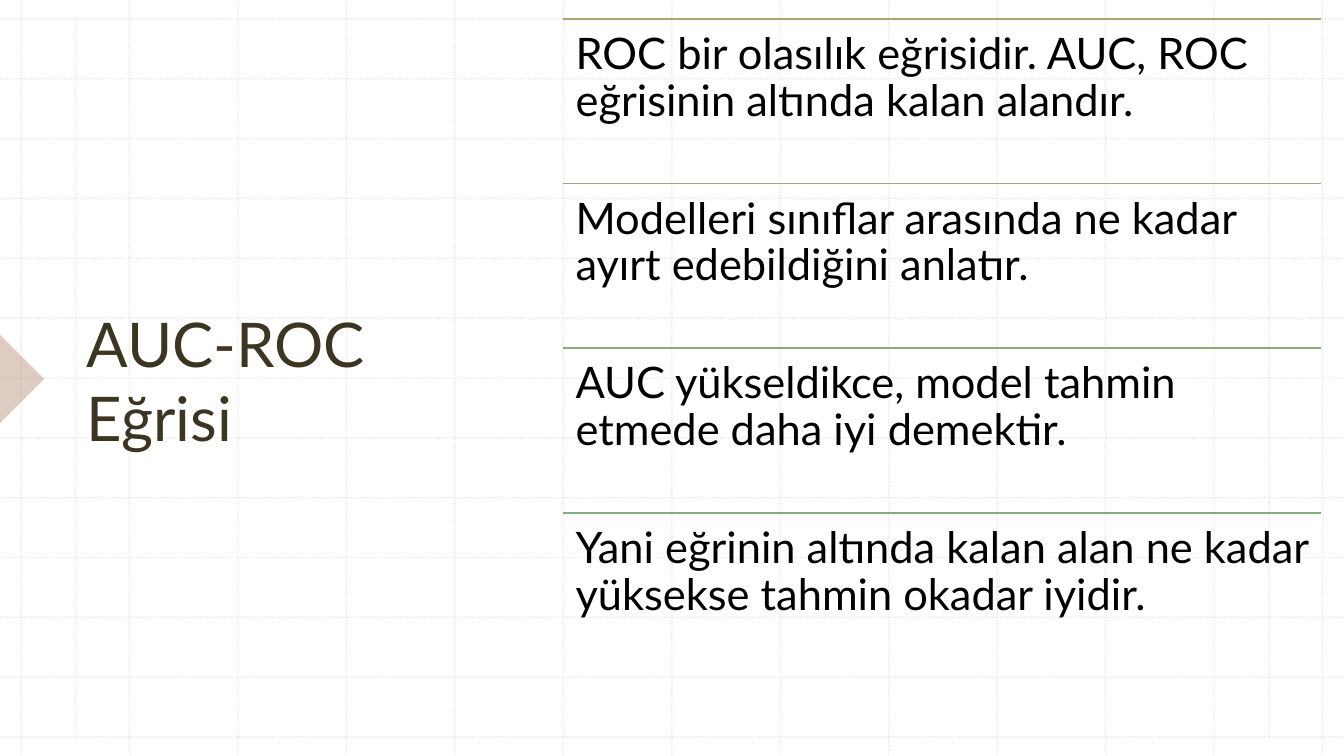
from dataclasses import dataclass

from lxml import etree
from pptx import Presentation
from pptx.dml.color import RGBColor
from pptx.dml.fill import FillFormat
from pptx.enum.dml import MSO_LINE
from pptx.enum.shapes import MSO_CONNECTOR, MSO_SHAPE
from pptx.enum.text import MSO_ANCHOR
from pptx.oxml.ns import qn
from pptx.slide import Slide
from pptx.util import Pt

STRAIGHT = MSO_CONNECTOR.STRAIGHT
RIGHT_TRIANGLE = MSO_SHAPE.RIGHT_TRIANGLE
DOTTED = MSO_LINE.ROUND_DOT
TOP = MSO_ANCHOR.TOP
MIDDLE = MSO_ANCHOR.MIDDLE

SLIDE_WIDTH, SLIDE_HEIGHT = 960, 540
FONT = "Lato"
GRID_COLOR = "BCBCBC"
GRID_LEFT, GRID_TOP = 15.12, 13.5
COLUMN_PITCH, ROW_PITCH = 77.46, 42.75
GRID_LINES = 13
FRAME_SIDES = (54, 906.5)
STATEMENT_LEFT, STATEMENT_WIDTH, STATEMENT_PITCH = 401.9, 541.6, 117.6
POINTER_SIZE = 44.64


@dataclass(frozen=True)
class Rule:
    x1: float
    y1: float
    x2: float
    y2: float
    color: str
    dotted: bool = False


@dataclass(frozen=True)
class TextBlock:
    left: float
    top: float
    width: float
    height: float
    text: str
    size: float
    color: str
    anchor: MSO_ANCHOR = TOP
    inset_x: float = 9.3
    inset_y: float = 9.3
    line_spacing: float = 0.9


@dataclass(frozen=True)
class Statement:
    text: str
    rule_color: str


STATEMENTS = [
    Statement("ROC bir olasılık eğrisidir. AUC, ROC eğrisinin altında kalan alandır.", "AEA077"),
    Statement("Modelleri sınıflar arasında ne kadar ayırt edebildiğini anlatır.", "A0A77E"),
    Statement("AUC yükseldikce, model tahmin etmede daha iyi demektir.", "8BAB75"),
    Statement("Yani eğrinin altında kalan alan ne kadar yüksekse tahmin okadar iyidir.", "81AD81"),
]
TITLE = TextBlock(54.7, 56.9, 270, 428.4, "AUC-ROC Eğrisi", 44, "3B3522",
                  MIDDLE, 7.2, 3.6, 1.0)


def rgb(value: str) -> RGBColor:
    return RGBColor.from_string(value)


def paint(fill: FillFormat, color: str, element: etree._Element, opacity: int = 100) -> None:
    fill.solid()
    fill.fore_color.rgb = rgb(color)
    if opacity < 100:
        tint = next(element.iter(qn("a:srgbClr")))
        etree.SubElement(tint, qn("a:alpha"), val=str(opacity * 1000))


def draw_rule(slide: Slide, rule: Rule) -> None:
    connector = slide.shapes.add_connector(
        STRAIGHT, Pt(rule.x1), Pt(rule.y1), Pt(rule.x2), Pt(rule.y2))
    properties = connector._element.spPr
    connector.line.width = Pt(1)
    paint(connector.line.fill, rule.color, properties, 30 if rule.dotted else 100)
    if rule.dotted:
        connector.line.dash_style = DOTTED
    etree.SubElement(properties, qn("a:effectLst"))


def draw_text(slide: Slide, block: TextBlock) -> None:
    box = slide.shapes.add_textbox(
        Pt(block.left), Pt(block.top), Pt(block.width), Pt(block.height))
    frame = box.text_frame
    frame.word_wrap = True
    frame.vertical_anchor = block.anchor
    frame.margin_left = frame.margin_right = Pt(block.inset_x)
    frame.margin_top = frame.margin_bottom = Pt(block.inset_y)
    paragraph = frame.paragraphs[0]
    paragraph.text = block.text
    paragraph.line_spacing = block.line_spacing
    paragraph.font.name = FONT
    paragraph.font.size = Pt(block.size)
    paragraph.font.color.rgb = rgb(block.color)


def draw_grid(slide: Slide) -> None:
    for i in range(GRID_LINES):
        x = GRID_LEFT + i * COLUMN_PITCH
        y = GRID_TOP + i * ROW_PITCH
        draw_rule(slide, Rule(x, 0, x, SLIDE_HEIGHT, GRID_COLOR, True))
        draw_rule(slide, Rule(0, y, SLIDE_WIDTH, y, GRID_COLOR, True))
    for x in FRAME_SIDES:
        draw_rule(slide, Rule(x, GRID_TOP, x, SLIDE_HEIGHT - GRID_TOP, GRID_COLOR, True))


def draw_pointer(slide: Slide) -> None:
    pointer = slide.shapes.add_shape(
        RIGHT_TRIANGLE, Pt(-POINTER_SIZE / 2), Pt(248.4), Pt(POINTER_SIZE), Pt(POINTER_SIZE))
    pointer.rotation = 225
    pointer.shadow.inherit = False
    paint(pointer.fill, "BE9A87", pointer._element.spPr, 50)
    pointer.line.fill.background()


def draw_statements(slide: Slide) -> None:
    right = STATEMENT_LEFT + STATEMENT_WIDTH
    for i, statement in enumerate(STATEMENTS):
        top = GRID_TOP + i * STATEMENT_PITCH
        draw_rule(slide, Rule(STATEMENT_LEFT, top, right, top, statement.rule_color))
        draw_text(slide, TextBlock(STATEMENT_LEFT, top, STATEMENT_WIDTH, STATEMENT_PITCH,
                                   statement.text, 31, "000000"))


def main() -> None:
    presentation = Presentation()
    presentation.slide_width = Pt(SLIDE_WIDTH)
    presentation.slide_height = Pt(SLIDE_HEIGHT)
    slide = presentation.slides.add_slide(presentation.slide_layouts[6])
    draw_grid(slide)
    draw_pointer(slide)
    draw_text(slide, TITLE)
    draw_statements(slide)
    presentation.save("out.pptx")


if __name__ == "__main__":
    main()
